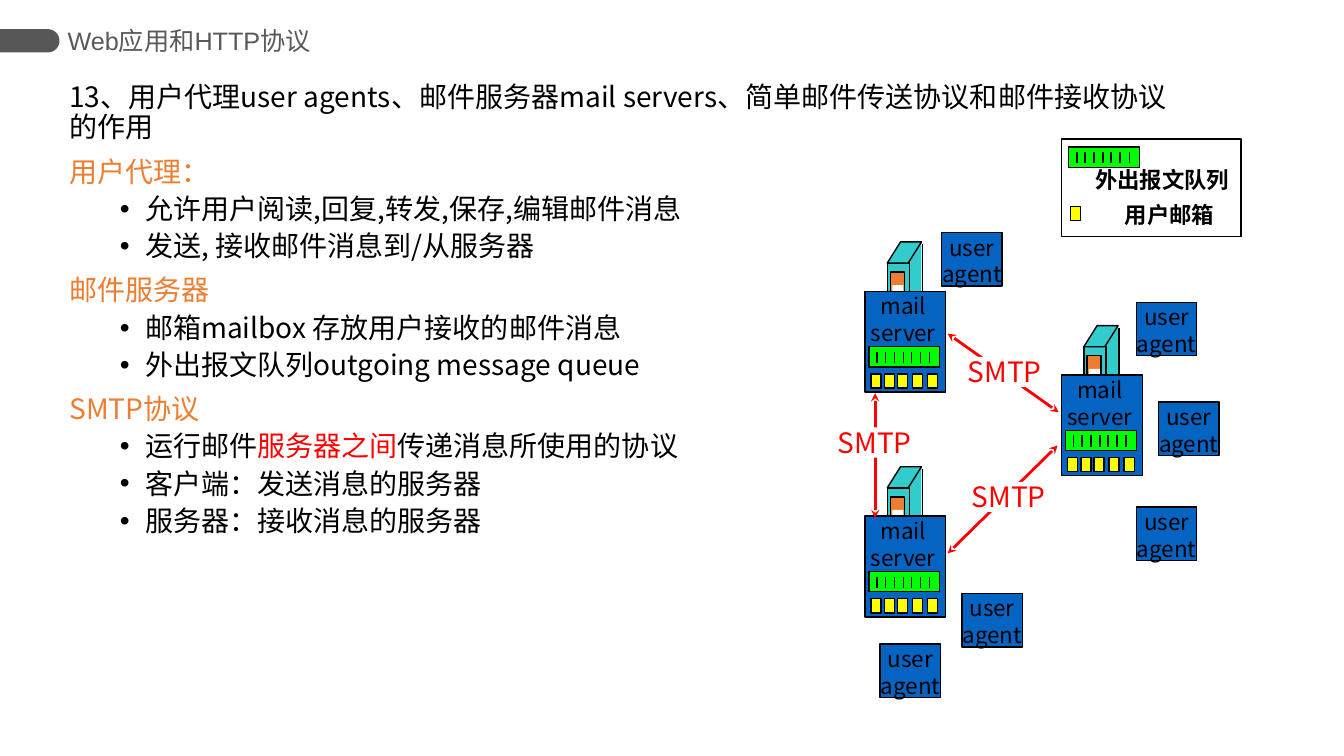
"""Build a slide on user agents, mail servers and mail protocols."""
import math

from lxml import etree
from pptx import Presentation
from pptx import util as u
from pptx.dml.color import RGBColor
from pptx.enum import shapes, text
from pptx.oxml.ns import qn

SCALE = 9144
FONT = "Noto Sans CJK SC"
COLORS = {
    "tab": "575757", "header": "595959", "ink": "000000", "heading": "ED7D31",
    "red": "FF0000", "teal": "33CCCC", "blue": "0563C1", "queue": "00FF00",
    "mailbox": "FFFF00", "white": "FFFFFF",
}
QUESTION = "13、用户代理user agents、邮件服务器mail servers、简单邮件传送协议和邮件接收协议的作用"
SECTIONS = [
    ("用户代理：", [
        ["允许用户阅读,回复,转发,保存,编辑邮件消息"],
        ["发送, 接收邮件消息到/从服务器"],
    ]),
    ("邮件服务器", [
        ["邮箱mailbox 存放用户接收的邮件消息"],
        ["外出报文队列outgoing message queue"],
    ]),
    ("SMTP协议", [
        ["运行邮件", "服务器之间", "传递消息所使用的协议"],
        ["客户端：发送消息的服务器"],
        ["服务器：接收消息的服务器"],
    ]),
]
SERVERS = [(1053, 372), (858, 512), (858, 289)]
AGENTS = [(1127, 300), (1149, 399), (1127, 503), (954, 589), (873, 639), (934, 231)]
ROUTES = [(940, 331, 1050, 409), (940, 549, 1049, 442), (868, 514, 868, 390)]
SMTP_MARKS = [(958, 478), (954, 354), (825, 424)]
MAILBOX_OFFSETS = (6, 19, 32, 47, 62)


def px(*lengths):
    """Turn px lengths into EMU."""
    return [u.Emu(round(length * SCALE)) for length in lengths]


def rgb(name):
    """Look up a named colour."""
    return RGBColor.from_string(COLORS[name])


def style_run(run, size, color="ink", face=FONT, bold=False):
    """Give a run its font for Latin and East Asian text."""
    run.font.size = u.Pt(size)
    run.font.name = face
    run.font.bold = bold
    run.font.color.rgb = rgb(color)
    etree.SubElement(run.font._element, qn("a:ea")).set("typeface", face)


def add_block(slide, x, y, w, h, fill=None, outlined=True, kind=shapes.MSO_SHAPE.RECTANGLE):
    """Draw a preset shape with an optional fill and black outline."""
    block = slide.shapes.add_shape(kind, *px(x, y, w, h))
    block.shadow.inherit = False
    if fill:
        block.fill.solid()
        block.fill.fore_color.rgb = rgb(fill)
    else:
        block.fill.background()
    if outlined:
        block.line.color.rgb = rgb("ink")
        block.line.width = u.Pt(1)
    else:
        block.line.fill.background()
    return block


def add_line(slide, x1, y1, x2, y2, color="ink", width=1, arrows=False):
    """Draw a straight line, with arrowheads at both ends on request."""
    line = slide.shapes.add_connector(shapes.MSO_CONNECTOR.STRAIGHT, *px(x1, y1, x2, y2))
    line.line.color.rgb = rgb(color)
    line.line.width = u.Pt(width)
    if arrows:
        for end in ("a:headEnd", "a:tailEnd"):
            etree.SubElement(line.line._get_or_add_ln(), qn(end)).set("type", "stealth")
    etree.SubElement(line._element.spPr, qn("a:effectLst"))


def add_label(slide, x, y, w, h, wording, size=16, color="ink", bold=False,
              align=text.PP_ALIGN.CENTER):
    """Write unwrapped text, one paragraph a line."""
    frame = slide.shapes.add_textbox(*px(x, y, w, h)).text_frame
    frame.word_wrap = False
    frame.text = wording
    for paragraph in frame.paragraphs:
        paragraph.alignment = align
        style_run(paragraph.runs[0], size, color, bold=bold)


def add_header(slide):
    """Draw the round-ended tab and the chapter title."""
    radius, centre_x, centre_y = 11.5, 47.5, 40.5
    angles = [math.radians(degrees) for degrees in range(-90, 91, 6)]
    arc = [(centre_x + radius * math.cos(a), centre_y + radius * math.sin(a)) for a in angles]
    outline = slide.shapes.build_freeform(*px(0, 29), scale=1.0)
    outline.add_line_segments([px(*point) for point in arc + [(0, 52)]], close=True)
    tab = outline.convert_to_shape()
    tab.shadow.inherit = False
    tab.fill.solid()
    tab.fill.fore_color.rgb = rgb("tab")
    tab.line.fill.background()
    frame = slide.shapes.add_textbox(*px(67, 19, 263, 42)).text_frame
    frame.word_wrap = True
    frame.margin_left = frame.margin_right = 0
    frame.vertical_anchor = text.MSO_ANCHOR.MIDDLE
    frame.text = "Web应用和HTTP协议"
    style_run(frame.paragraphs[0].runs[0], 18, "header", "Arial")


def add_point(frame, pieces, colors, margin, before, bullet=False):
    """Append an indented paragraph, one run for each piece."""
    paragraph = frame.add_paragraph()
    properties = paragraph._p.get_or_add_pPr()
    properties.set("marL", str(px(margin)[0]))
    properties.set("indent", str(px(-25)[0]))
    if bullet:
        paragraph.level = 1
        etree.SubElement(properties, qn("a:buFont")).set("typeface", "Arial")
        etree.SubElement(properties, qn("a:buChar")).set("char", "•")
    paragraph.line_spacing = 0.9
    paragraph.space_before = u.Pt(before)
    for piece, color in zip(pieces, colors):
        run = paragraph.add_run()
        run.text = piece
        style_run(run, 20, color)


def add_body(slide):
    """Write the question and its three bulleted sections."""
    frame = slide.shapes.add_textbox(*px(59, 78, 1133, 580)).text_frame
    frame.word_wrap = True
    frame.text = QUESTION
    question = frame.paragraphs[0]
    question.line_spacing = 0.9
    style_run(question.runs[0], 20)
    for heading, points in SECTIONS:
        add_point(frame, [heading], ["heading"], 25, 10)
        for pieces in points:
            add_point(frame, pieces, ["ink", "red", "ink"], 75, 5, bullet=True)


def add_queue(slide, x, y):
    """Draw an outgoing queue with seven messages."""
    add_block(slide, x, y, 70, 20, "queue")
    for i in range(7):
        tick = x + 8 + i * 26 // 3
        add_line(slide, tick, y + 5, tick, y + 16)


def add_mailbox(slide, x, y):
    """Draw one user mailbox."""
    add_block(slide, x, y, 10, 14, "mailbox")


def add_legend(slide):
    """Draw the key to the queue and mailbox symbols."""
    add_block(slide, 1053, 138, 178, 97)
    add_label(slide, 1105, 195, 110, 37, "用户邮箱", bold=True)
    add_queue(slide, 1060, 146)
    add_mailbox(slide, 1062, 205)
    add_label(slide, 1074, 160, 155, 37, "外出报文队列", bold=True, align=text.PP_ALIGN.RIGHT)


def add_server(slide, x, y):
    """Draw a tower and the mail server box in front of it."""
    add_block(slide, x + 40, y - 48, 16, 71, "teal", outlined=False)
    add_block(slide, x + 22, y - 28, 22, 71, "teal")
    roof = add_block(slide, x + 22, y - 49, 34, 21, "teal", kind=shapes.MSO_SHAPE.PARALLELOGRAM)
    roof.adjustments[0] = 0.63
    add_line(slide, x + 57, y - 47, x + 57, y + 23)
    add_block(slide, x + 25, y - 19, 14, 40, "heading")
    add_block(slide, x + 27, y - 6, 11, 14, "white", outlined=False)
    add_block(slide, x, y, 80, 100, "blue")
    add_label(slide, x - 5, y - 4, 86, 64, "mail\nserver")
    add_queue(slide, x + 4, y + 55)
    for offset in MAILBOX_OFFSETS:
        add_mailbox(slide, x + offset, y + 82)


def add_agent(slide, x, y):
    """Draw a user agent."""
    add_block(slide, x, y, 60, 53, "blue")
    add_label(slide, x - 11, y - 4, 82, 64, "user\nagent")


def add_smtp_mark(slide, x, y):
    """Name a route on a white patch."""
    add_block(slide, x, y, 84, 30, "white", outlined=False)
    add_label(slide, x - 6, y - 7, 97, 44, "SMTP", 20, "red")


def main():
    """Build and save the slide."""
    deck = Presentation()
    deck.slide_width, deck.slide_height = px(1333, 750)
    slide = deck.slides.add_slide(deck.slide_layouts[6])
    add_header(slide)
    add_body(slide)
    add_legend(slide)
    for place in SERVERS:
        add_server(slide, *place)
    for place in AGENTS:
        add_agent(slide, *place)
    for route in ROUTES:
        add_line(slide, *route, color="red", width=2, arrows=True)
    for place in SMTP_MARKS:
        add_smtp_mark(slide, *place)
    deck.save("out.pptx")


if __name__ == "__main__":
    main()
